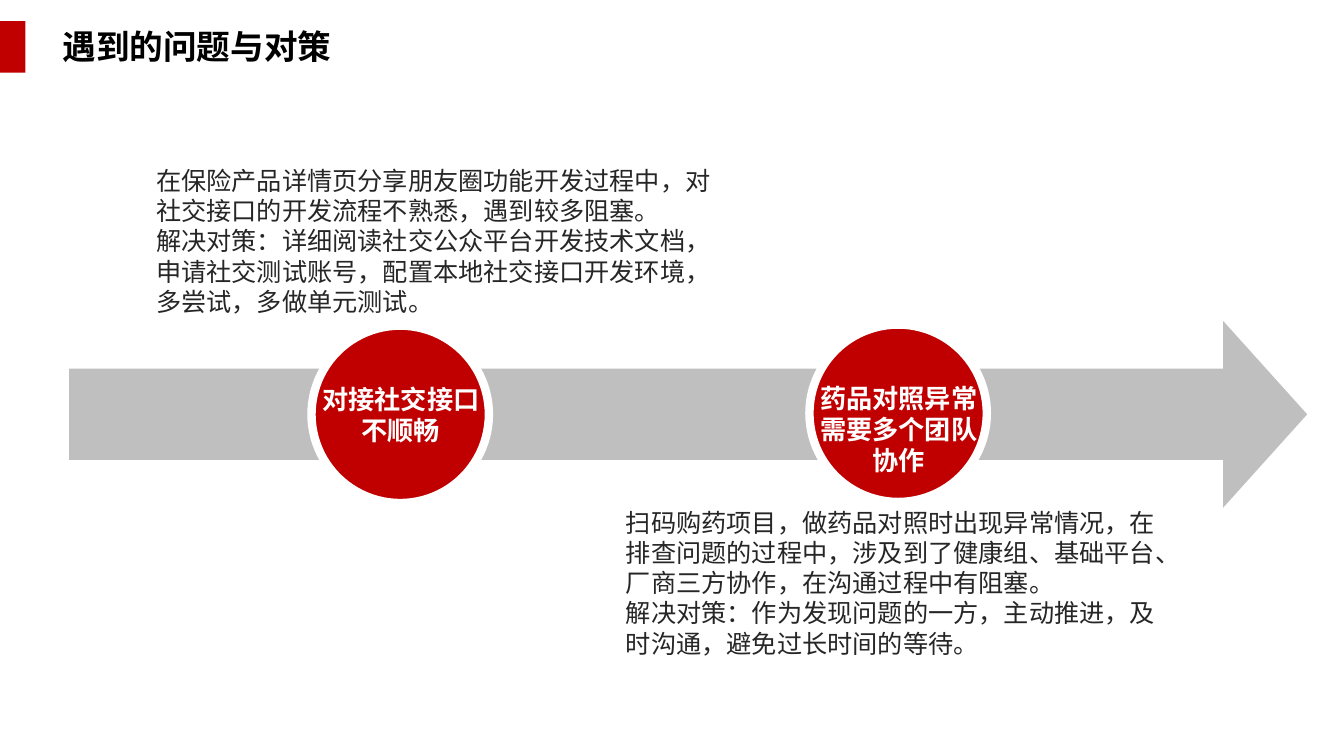
import pptx
import pptx.util
import pptx.dml.color
import pptx.enum.shapes
import pptx.enum.text
import pptx.oxml.ns
import lxml.etree

SLIDE_WIDTH = pptx.util.Inches(13.333)
SLIDE_HEIGHT = pptx.util.Inches(7.5)
FONT = "Noto Sans CJK SC"
COLORS = {
    "red": "C00000",
    "grey": "BFBFBF",
    "white": "FFFFFF",
    "black": "000000",
    "text": "262626",
}
PRESET = pptx.enum.shapes.MSO_SHAPE
ALIGN = pptx.enum.text.PP_ALIGN


def color(name):
    return pptx.dml.color.RGBColor.from_string(COLORS[name])


def area(left, top, width, height):
    """Turn percentages of the slide's size into lengths."""
    return (
        int(SLIDE_WIDTH * left / 100),
        int(SLIDE_HEIGHT * top / 100),
        int(SLIDE_WIDTH * width / 100),
        int(SLIDE_HEIGHT * height / 100),
    )


def add_block(shapes, preset, place, fill, border=None):
    block = shapes.add_shape(preset, *area(*place))
    block.shadow.inherit = False
    block.fill.solid()
    block.fill.fore_color.rgb = color(fill)
    if border:
        block.line.color.rgb = color(border)
        block.line.width = pptx.util.Pt(6)
    else:
        block.line.fill.background()
    return block


def add_words(paragraph, words, size, ink, bold):
    run = paragraph.add_run()
    run.text = words
    run.font.size = pptx.util.Pt(size)
    run.font.name = FONT
    run.font.bold = bold
    run.font.color.rgb = color(ink)
    # East Asian glyphs take their own typeface
    east_asian = lxml.etree.SubElement(
        run.font._element, pptx.oxml.ns.qn("a:ea"))
    east_asian.set("typeface", FONT)


def write(frame, paragraphs, size, ink, bold=False, align=ALIGN.LEFT, wrap=True):
    """Write paragraphs; a newline inside one is a line break."""
    frame.word_wrap = wrap
    frame.auto_size = pptx.enum.text.MSO_AUTO_SIZE.NONE
    frame.vertical_anchor = pptx.enum.text.MSO_ANCHOR.TOP
    for index, content in enumerate(paragraphs):
        paragraph = frame.add_paragraph() if index else frame.paragraphs[0]
        paragraph.alignment = align
        paragraph.space_before = pptx.util.Pt(0)
        for number, line in enumerate(content.split("\n")):
            if number:
                paragraph.add_line_break()
            add_words(paragraph, line, size, ink, bold)


def add_heading(slide, words):
    add_block(slide.shapes, PRESET.RECTANGLE, (0, 2.8, 1.9, 6.8), "red")
    heading = slide.shapes.title
    heading.left, heading.top, heading.width, heading.height = area(
        3.9, 2.8, 21.7, 6.67)
    write(heading.text_frame, [words], 24, "black", bold=True, wrap=False)


def add_timeline(slide):
    timeline = add_block(
        slide.shapes, PRESET.RIGHT_ARROW, (5.14, 42.47, 92.12, 24.67), "grey")
    timeline.adjustments[0] = 0.49
    timeline.adjustments[1] = 0.45


def add_problem(slide, left, top, label):
    problem = slide.shapes.add_group_shape()
    add_block(problem.shapes, PRESET.OVAL, (left, top, 13.2, 23.47),
              "red", border="white")
    caption = problem.shapes.add_textbox(
        *area(left - 1.8, top + 6.93, 16.88, 9.6))
    write(caption.text_frame, label, 18.7, "white", bold=True,
          align=ALIGN.CENTER)


def add_solution(slide, place, paragraphs):
    solution = slide.shapes.add_textbox(*area(*place))
    write(solution.text_frame, paragraphs, 18, "text")


def main():
    deck = pptx.Presentation()
    deck.slide_width = SLIDE_WIDTH
    deck.slide_height = SLIDE_HEIGHT
    slide = deck.slides.add_slide(deck.slide_layouts[5])

    # Heading and arrow
    add_heading(slide, "遇到的问题与对策")
    add_timeline(slide)

    # First problem, explained above the arrow
    add_problem(slide, 23.18, 43.07, ["对接社交接口\n不顺畅"])
    add_solution(slide, (10.88, 21.2, 43.73, 21.6), [
        "在保险产品详情页分享朋友圈功能开发过程中，对社交接口的开发流程不熟悉，"
        "遇到较多阻塞。",
        "解决对策：详细阅读社交公众平台开发技术文档，申请社交测试账号，"
        "配置本地社交接口开发环境，多尝试，多做单元测试。",
    ])

    # Second problem, explained below the arrow
    add_problem(slide, 60.23, 42.93, ["药品对照异常", "需要多个团队", "协作"])
    add_solution(slide, (45.83, 66.4, 42.23, 21.6), [
        "扫码购药项目，做药品对照时出现异常情况，在排查问题的过程中，"
        "涉及到了健康组、基础平台、厂商三方协作，在沟通过程中有阻塞。",
        "解决对策：作为发现问题的一方，主动推进，及时沟通，避免过长时间的等待。",
    ])

    deck.save("out.pptx")


if __name__ == "__main__":
    main()
